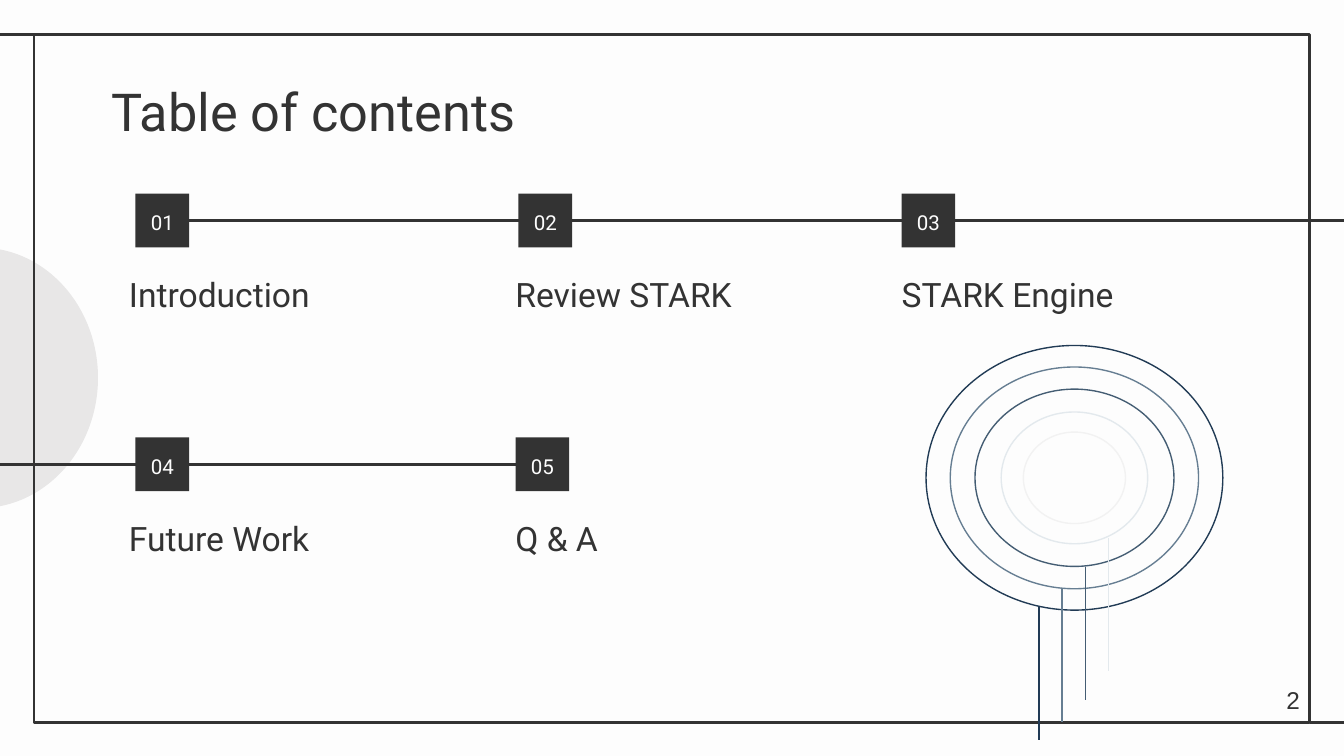
from lxml.etree import SubElement
from pptx import Presentation
from pptx.dml.color import RGBColor
from pptx.enum.shapes import MSO_CONNECTOR, MSO_SHAPE
from pptx.enum.text import MSO_ANCHOR, PP_ALIGN
from pptx.oxml.ns import qn
from pptx.util import Pt

# Content: number, label, row, column
TITLE = "Table of contents"
PAGE = "2"
TOPICS = [
    ("01", "Introduction", 0, 0),
    ("02", "Review STARK", 0, 1),
    ("03", "STARK Engine", 0, 2),
    ("04", "Future Work", 1, 0),
    ("05", "Q & A", 1, 1),
]

THEME = {
    "paper": "FDFDFD", "ink": "333333", "disc": "E8E7E7",
    "font": "Roboto", "page_font": "Arial",
    "title": 28, "label": 18, "number": 11, "page": 13,
    "rule": 1.5, "thin": 0.75,
}

# Rings: width, height, colour, top of the stem (None for no stem)
RINGS = [
    (159, 141.8, "213B55", 325.4),
    (133, 118.8, "667E92", 315.4),
    (106.6, 95, "445D73", 303.8),
    (78.5, 70.6, "E3E9ED", 288),
    (54.7, 49, "F2F2F2", None),
]
RING_CENTRE = (575.6, 256)
STEM_LEFT, STEM_GAP, STEM_LENGTH = 556.6, 12.4, 71.3

# Grid of topics
BOX = 28.8
BOX_LEFT, BOX_TOP, BOX_PITCH = 72.6, 103.8, 205.2
LABEL_LEFT, LABEL_TOP, LABEL_PITCH = 62, 145.4, 207
LABEL_SIZE = (181.4, 30.2)
ROW_PITCH = 130.6
LAST_BOX_SHIFT = -1.6  # the fifth box sits slightly left of its column


def rgb(name):
    return RGBColor.from_string(THEME.get(name, name))


def add_shape(s, kind, box, fill=None, line=None, width=THEME["rule"]):
    sp = s.shapes.add_shape(kind, *map(Pt, box))
    sp.shadow.inherit = False
    if fill:
        sp.fill.solid()
        sp.fill.fore_color.rgb = rgb(fill)
    else:
        sp.fill.background()
    if line:
        sp.line.color.rgb = rgb(line)
        sp.line.width = Pt(width)
    else:
        sp.line.fill.background()
    return sp


def add_line(s, ends, color="ink", width=THEME["rule"]):
    cxn = s.shapes.add_connector(MSO_CONNECTOR.STRAIGHT, *map(Pt, ends))
    cxn.line.color.rgb = rgb(color)
    cxn.line.width = Pt(width)
    SubElement(cxn._element.spPr, qn("a:effectLst"))
    return cxn


def write(sp, text, size, color="ink", font="font", anchor=MSO_ANCHOR.TOP,
          align=PP_ALIGN.LEFT, spacing=1.0):
    tf = sp.text_frame
    frame = {"word_wrap": True, "vertical_anchor": anchor}
    frame.update({f"margin_{side}": Pt(7.2)
                  for side in ("left", "top", "right", "bottom")})
    p = tf.paragraphs[0]
    r = p.add_run()
    r.text = text
    formats = [
        (tf, frame),
        (p, {"alignment": align, "line_spacing": spacing}),
        (r.font, {"name": THEME[font], "size": Pt(THEME[size])}),
    ]
    for target, values in formats:
        for name, value in values.items():
            setattr(target, name, value)
    r.font.color.rgb = rgb(color)


def add_text(s, box, text, size, **fmt):
    write(s.shapes.add_textbox(*map(Pt, box)), text, size, **fmt)


def add_backdrop(s):
    s.background.fill.solid()
    s.background.fill.fore_color.rgb = rgb("paper")
    add_shape(s, MSO_SHAPE.OVAL, (-74.2, 132.6, 126.7, 139.6), fill="disc")
    add_shape(s, MSO_SHAPE.RECTANGLE, (18.2, 18.3, 683.3, 368.6), line="ink")
    add_line(s, (18.7, 18.3, -1.4, 18.3))
    add_line(s, (722, 387, 702, 387))


def add_topics(s):
    # Timelines go behind the boxes
    row_mid = [BOX_TOP + BOX / 2 + row * ROW_PITCH for row in range(2)]
    lower = add_line(s, (276.4, row_mid[1], -13, row_mid[1]))
    upper = add_line(s, (101.4, row_mid[0], 732.2, row_mid[0]))
    add_text(s, (52.6, 35.2, 607, 45.4), TITLE, "title")

    boxes = {}
    for number, label, row, col in TOPICS:
        shift = LAST_BOX_SHIFT if number == "05" else 0
        left = BOX_LEFT + col * BOX_PITCH + shift
        top = BOX_TOP + row * ROW_PITCH
        sp = add_shape(s, MSO_SHAPE.RECTANGLE, (left, top, BOX, BOX), fill="ink")
        write(sp, number, "number", color="paper", anchor=MSO_ANCHOR.MIDDLE,
              align=PP_ALIGN.CENTER, spacing=1.15)
        boxes[number] = sp
        place = (LABEL_LEFT + col * LABEL_PITCH, LABEL_TOP + row * ROW_PITCH)
        add_text(s, place + LABEL_SIZE, label, "label",
                 anchor=MSO_ANCHOR.BOTTOM, spacing=1.15)
    upper.begin_connect(boxes["01"], 3)
    lower.begin_connect(boxes["05"], 1)


def add_rings(s):
    cx, cy = RING_CENTRE
    for i, (w, h, color, stem_top) in enumerate(RINGS):
        if stem_top is not None:
            x = STEM_LEFT + i * STEM_GAP
            add_line(s, (x, stem_top, x, stem_top + STEM_LENGTH),
                     color, THEME["thin"])
        add_shape(s, MSO_SHAPE.OVAL, (cx - w / 2, cy - h / 2, w, h),
                  line=color, width=THEME["thin"])


def main():
    prs = Presentation()
    prs.slide_width, prs.slide_height = Pt(720), Pt(405)
    s = prs.slides.add_slide(prs.slide_layouts[6])
    add_backdrop(s)
    add_topics(s)
    add_rings(s)
    # Page number
    add_text(s, (660.2, 360, 43.2, 31), PAGE, "page", font="page_font",
             align=PP_ALIGN.RIGHT)
    prs.save("out.pptx")


if __name__ == "__main__":
    main()
